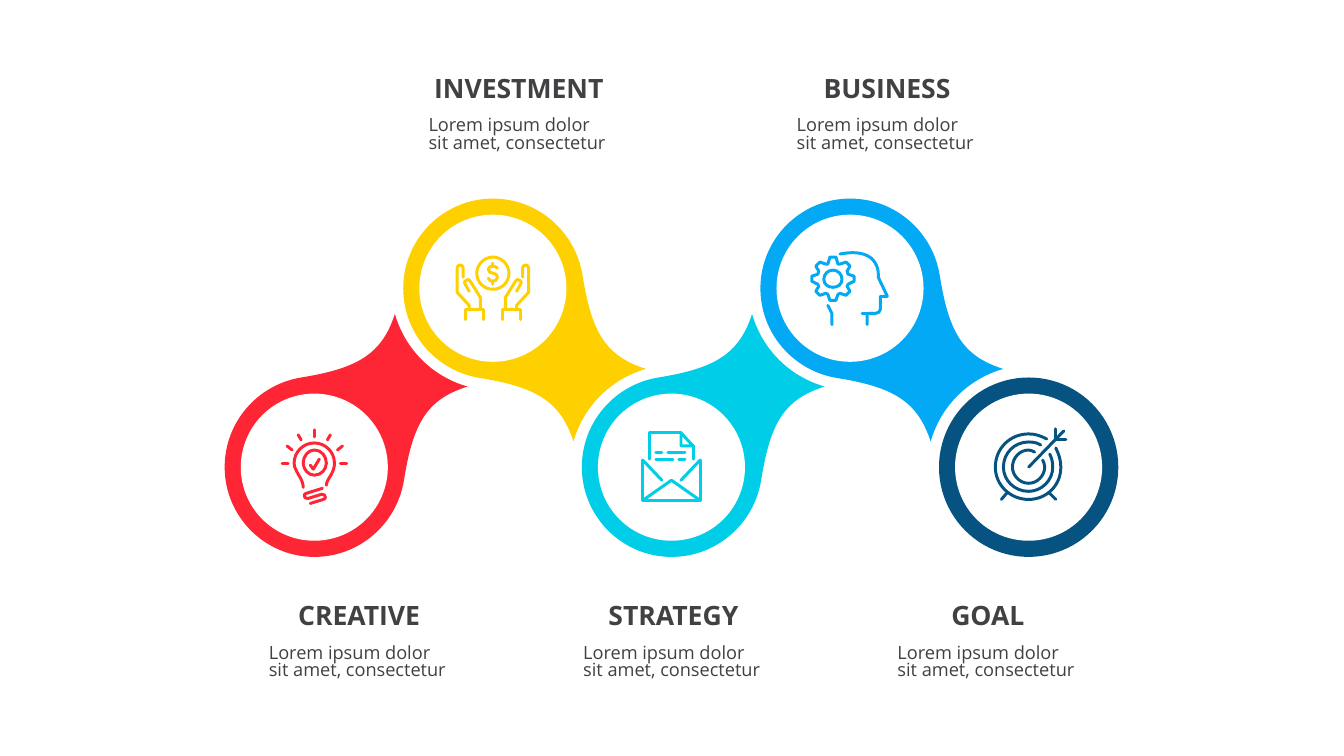
"""Builds a five-step infographic of linked drops with icons and captions."""
import pptx
import pptx.dml.color
import pptx.enum.shapes
import pptx.enum.text
import pptx.oxml
import pptx.oxml.ns
import pptx.util

DROP = ("M 80,-152 C 67,-112 43,-98 -13,-89 C -56,-82 -89,-45 -89,0 C -89,49 -49,89 0,89 "
        "C 45,89 82,56 89,13 C 98,-43 111,-67 152,-80 C 117,-90 90,-117 80,-152 Z")

BULB = ("M -11,20 C -11,17 -12,13 -16,7 C -18,3 -20,0 -20,-4 C -20,-15 -11,-24 0,-24 "
        "C 11,-24 20,-15 20,-4 C 20,0 19,3 17,7 C 14,12 12,15 12,18 "
        "M 0,-17 C -6,-17 -11,-11 -11,-4 C -11,2 -6,8 0,8 C 7,8 12,2 12,-4 C 12,-11 7,-17 0,-17 Z "
        "M -4,-2 L -1,2 L 5,-8 M 0,-30 L 0,-37 M -13,-27 L -16,-32 M -27,-21 L -22,-17 "
        "M -32,-4 L -26,-4 M 16,-32 L 13,-27 M 28,-21 L 23,-17 M 26,-4 L 32,-4 "
        "M 8,21 L -8,26 C -9,26 -10,27 -10,28 C -10,30 -9,31 -7,31 L -6,31 L 7,27 L 8,27 "
        "C 10,27 11,28 11,30 C 11,31 10,32 9,32 L -4,36")

HAND = ("M -23.5,3 L -27.5,-4 C -28.5,-5 -28.5,-7 -27.5,-7 L -26.5,-8 C -24.5,-9 -23.5,-9 -22.5,-7 "
        "L -12.5,9 L -12.5,21 L -23.5,21 L -23.5,17 L -35.5,4 L -35.5,-20 "
        "C -35.5,-22 -34.5,-23 -32.5,-23 C -30.5,-23 -29.5,-22 -29.5,-20 L -29.5,-11 "
        "M -9.5,31 L -9.5,21 L -27.5,21 L -27.5,31")

COIN = ("M 0,-31 C -9,-31 -16,-23 -16,-15 C -16,-6 -9,1 0,1 C 9,1 16,-6 16,-15 C 16,-23 9,-31 0,-31 Z "
        "M -4.5,-10 C -4,-8 -2,-7 0,-7 C 2,-7 4.5,-8 4.5,-11 C 4.5,-13 3,-15 0,-15 "
        "C -2,-15 -4.5,-16 -4.5,-19 C -4.5,-21 -2,-22 0,-22 C 2,-22 3.5,-21 4.5,-20 "
        "M 0,-22 L 0,-25 M 0,-4 L 0,-7")

LETTER = ("M 28.5,-7 L 28.5,33 L -28.5,33 L -28.5,-7 M 28.5,33 L 0,13 L -28.5,33 "
          "M 28.5,-7 L 9.5,13 M -28.5,-7 L -9.5,13 M 21.5,-8 L 21.5,-21 "
          "M 9.5,-34 L -21.5,-34 L -21.5,-8 M 21.5,-21 L 9.5,-34 L 9.5,-21 L 21.5,-21 "
          "M -9.5,-15 L -15.5,-15 M 13.5,-15 L -3.5,-15 M -15.5,-8 L 1.5,-8 M 13.5,-8 L 7.5,-8")

HEAD = ("M -10,-34 C 32,-42 28,-11 28,-11 L 37,8 L 30,8 L 30,21 C 30,23 28,25 25,25 L 17,25 L 17,36 "
        "M -18,36 L -18,25 L -22,17 M 17,25 L 12,25 "
        "M 4,-7 L 4,-12 L -2,-14 L -3,-17 L 0,-22 L -4,-26 L -10,-24 L -12,-24 L -14,-31 L -20,-31 "
        "L -22,-24 L -24,-24 L -30,-26 L -34,-22 L -31,-17 L -32,-14 L -38,-12 L -38,-7 L -32,-4 "
        "L -31,-2 L -34,3 L -30,7 L -24,5 L -22,6 L -20,12 L -14,12 L -12,6 L -10,5 L -4,7 L 0,3 "
        "L -3,-2 L -2,-4 Z "
        "M -17,-18 C -22,-18 -26,-14 -26,-9 C -26,-4 -22,-1 -17,-1 C -12,-1 -8,-4 -8,-9 "
        "C -8,-14 -12,-18 -17,-18 Z")

TARGET = ("M 27,-19 C 30,-13 32,-7 32,0 C 32,18 18,32 0,32 C -18,32 -33,18 -33,0 "
          "C -33,-19 -18,-33 0,-33 C 7,-33 12,-31 18,-28 "
          "M 12,-22 C 9,-24 5,-25 0,-25 C -14,-25 -25,-14 -25,0 C -25,13 -14,24 0,24 "
          "C 13,24 24,13 24,0 C 24,-5 23,-9 21,-13 "
          "M 6,-15 C 4,-16 2,-17 0,-17 C -9,-17 -16,-9 -16,0 C -16,8 -9,16 0,16 "
          "C 9,16 16,8 16,0 C 16,-3 15,-5 14,-7 "
          "M 0,0 L 35,-36 M 27,-38 L 27,-27 L 37,-27 M -27,32 L -21,25 M 20,25 L 27,32")


def color(value):
    return pptx.dml.color.RGBColor.from_string(value)


def length(hundredths):
    return pptx.util.Cm(2.54 * hundredths / 100)


def mirror(outline):
    words = []
    for word in outline.split():
        if "," in word:
            x, y = word.split(",")
            word = f"{-float(x)},{y}"
        words.append(word)
    return " ".join(words)


def contours(outline):
    for part in outline.split("M")[1:]:
        points, bends, curved = [], [], False
        for word in part.replace("Z", "").split():
            if word in "CL":
                curved = word == "C"
            else:
                points.append(tuple(float(number) for number in word.split(",")))
                bends.append(curved)
        yield points, bends[1:], "Z" in part


def bend_lines(shape, bends):
    lines = shape._element.xpath(".//a:lnTo")
    curved = [line for line, bent in zip(lines, bends) if bent]
    for first, second, third in zip(curved[::3], curved[1::3], curved[2::3]):
        first.tag = pptx.oxml.ns.qn("a:cubicBezTo")
        for line in (second, third):
            first.append(line[0])
            line.getparent().remove(line)


class Infographic:
    font = "Open Sans"
    ink = "414042"

    def __init__(self, deck):
        self.page = deck.slides.add_slide(deck.slide_layouts[6])

    def circle(self, x, y, radius, fill):
        shape = self.page.shapes.add_shape(
            pptx.enum.shapes.MSO_SHAPE.OVAL, length(x - radius), length(y - radius),
            length(2 * radius), length(2 * radius))
        self.paint(shape, fill)

    def paint(self, shape, fill):
        shape.shadow.inherit = False
        shape.fill.solid()
        shape.fill.fore_color.rgb = color(fill)
        shape.line.fill.background()

    def freeform(self, outline, x, y, flip=1):
        builder, all_bends = None, []
        for points, bends, closed in contours(outline):
            places = [(length(x + dx), length(y + flip * dy)) for dx, dy in points]
            if builder is None:
                builder = self.page.shapes.build_freeform(*places[0], scale=1.0)
            else:
                builder.move_to(*places[0])
            builder.add_line_segments(places[1:], close=closed)
            all_bends.extend(bends)
        shape = builder.convert_to_shape()
        bend_lines(shape, all_bends)
        return shape

    def drop(self, x, y, flip, fill):
        self.paint(self.freeform(DROP, x, y, flip), fill)

    def icon(self, outline, x, y, stroke):
        shape = self.freeform(outline, x, y)
        shape.shadow.inherit = False
        shape.fill.background()
        shape.line.color.rgb = color(stroke)
        shape.line.width = pptx.util.Pt(2.13)
        line = shape.line._get_or_add_ln()
        line.set("cap", "rnd")
        line.append(pptx.oxml.parse_xml(f"<a:round {pptx.oxml.ns.nsdecls('a')}/>"))

    def text(self, words, center, top, width, height, size, spacing, bold=False):
        box = self.page.shapes.add_textbox(
            length(center - width / 2), length(top), length(width), length(height))
        box.text_frame.word_wrap = True
        para = box.text_frame.paragraphs[0]
        para.line_spacing = spacing
        align = pptx.enum.text.PP_ALIGN
        para.alignment = align.CENTER if bold else align.LEFT
        span = para.add_run()
        span.text = words
        span.font.name = self.font
        span.font.size = pptx.util.Pt(size)
        span.font.bold = bold
        span.font.color.rgb = color(self.ink)

    def caption(self, title, center, top):
        self.text(title, center, top, 214, 41, 19, 0.9, bold=True)
        self.text("Lorem ipsum dolor sit amet, consectetur", center, top + 42, 199, 86, 13, 0.8)


def main():
    deck = pptx.Presentation()
    deck.slide_width, deck.slide_height = length(1334), length(750)
    graphic = Infographic(deck)
    steps = [
        ("CREATIVE", "FE2635", BULB, 356.5),
        ("INVESTMENT", "FFD000", " ".join((HAND, mirror(HAND), COIN)), 515),
        ("STRATEGY", "00CEE8", LETTER, 668.5),
        ("BUSINESS", "03A9F4", HEAD, 880.5),
        ("GOAL", "065381", TARGET, 980.5),
    ]
    for index, (title, tint, icon, caption_center) in enumerate(steps):
        upper = index % 2 == 1
        x, y = 312 + 177.25 * index, 286 if upper else 463.5
        if index < len(steps) - 1:
            graphic.drop(x, y, -1 if upper else 1, tint)
        else:
            graphic.circle(x, y, 89, tint)
        graphic.circle(x, y, 73, "FFFFFF")
        graphic.icon(icon, x, y, tint)
        graphic.caption(title, caption_center, 70 if upper else 593)
    deck.save("out.pptx")


if __name__ == "__main__":
    main()
